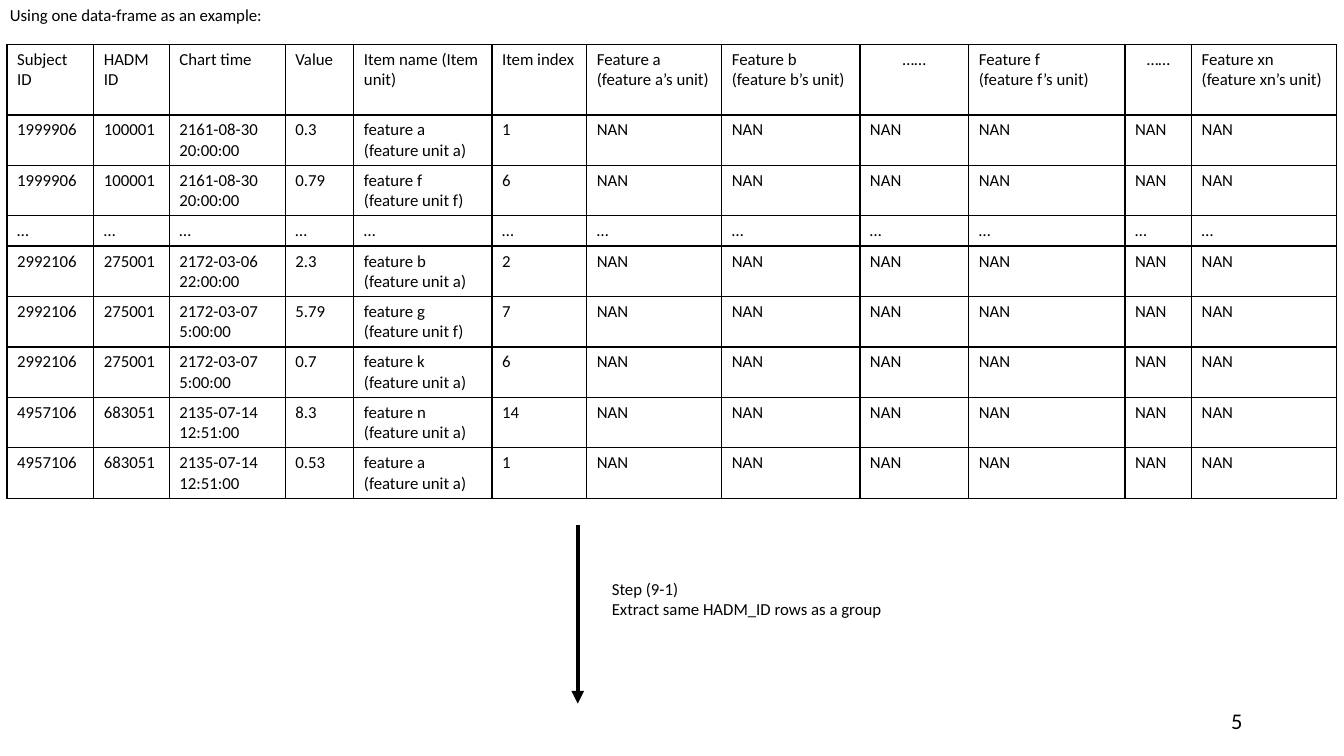
"""Build the slide that shows how rows of one data-frame are grouped by HADM ID."""
from dataclasses import dataclass

import pptx
import pptx.dml.color
import pptx.enum.shapes
import pptx.enum.text
import pptx.oxml
import pptx.oxml.ns
import pptx.util
from pptx.util import Inches

LEFT = pptx.enum.text.PP_ALIGN.LEFT
CENTER = pptx.enum.text.PP_ALIGN.CENTER
RIGHT = pptx.enum.text.PP_ALIGN.RIGHT
TOP = pptx.enum.text.MSO_ANCHOR.TOP
MIDDLE = pptx.enum.text.MSO_ANCHOR.MIDDLE


@dataclass(frozen=True)
class Theme:
    """Hold the colours, type sizes and line widths of the slide."""
    font: str = "Calibri"
    ink: str = "000000"
    body_size: int = 12
    number_size: int = 16
    border_width: int = 1
    arrow_width: int = 3


THEME = Theme()
COLUMN_WIDTHS = [0.86, 0.75, 1.15, 0.68, 1.37, 0.94, 1.34, 1.37, 1.08, 1.55, 0.66, 1.44]
HEADER_HEIGHT, RECORD_HEIGHT, GAP_HEIGHT = 0.7, 0.5, 0.3
GAP_MARK = "…"
HEADER_GAP = "……"
FEATURE_COUNT = 6
HEADERS = [
    "Subject ID", "HADM ID", "Chart time", "Value", "Item name (Item unit)", "Item index",
    "Feature a\n(feature a’s unit)", "Feature b\n(feature b’s unit)", HEADER_GAP,
    "Feature f\n(feature f’s unit)", HEADER_GAP, "Feature xn\n(feature xn’s unit)",
]
GAP_ROW = [GAP_MARK] * len(HEADERS)
EARLY_RECORDS = [
    ["1999906", "100001", "2161-08-30 20:00:00", "0.3", "feature a (feature unit a)", "1"],
    ["1999906", "100001", "2161-08-30 20:00:00", "0.79", "feature f\n(feature unit f)", "6"],
]
LATE_RECORDS = [
    ["2992106", "275001", "2172-03-06 22:00:00", "2.3", "feature b (feature unit a)", "2"],
    ["2992106", "275001", "2172-03-07 5:00:00", "5.79", "feature g (feature unit f)", "7"],
    ["2992106", "275001", "2172-03-07 5:00:00", "0.7", "feature k (feature unit a)", "6"],
    ["4957106", "683051", "2135-07-14 12:51:00", "8.3", "feature n (feature unit a)", "14"],
    ["4957106", "683051", "2135-07-14 12:51:00", "0.53", "feature a (feature unit a)", "1"],
]


def write_text(frame, text, size=THEME.body_size, align=LEFT, anchor=TOP):
    """Write each line of the text as a formatted paragraph."""
    frame.word_wrap = True
    frame.vertical_anchor = anchor
    for index, line in enumerate(text.split("\n")):
        paragraph = frame.paragraphs[0] if index == 0 else frame.add_paragraph()
        paragraph.alignment = align
        run = paragraph.add_run()
        run.text = line
        run.font.name = THEME.font
        run.font.size = pptx.util.Pt(size)
        run.font.color.rgb = pptx.dml.color.RGBColor.from_string(THEME.ink)


def add_label(slide, text, left, top, width, height, **text_format):
    """Add a text box that holds the text."""
    label = slide.shapes.add_textbox(Inches(left), Inches(top), Inches(width), Inches(height))
    write_text(label.text_frame, text, **text_format)


def add_borders(cell):
    """Draw a thin line along the four sides of a cell."""
    properties = cell._tc.get_or_add_tcPr()
    width = pptx.util.Pt(THEME.border_width)
    for index, side in enumerate(("lnL", "lnR", "lnT", "lnB")):
        border = pptx.oxml.parse_xml(
            f'<a:{side} {pptx.oxml.ns.nsdecls("a")} w="{width}"><a:solidFill>'
            f'<a:srgbClr val="{THEME.ink}"/></a:solidFill></a:{side}>')
        properties.insert(index, border)


def add_data_table(slide, rows, left, top):
    """Add the bordered data-frame table, one cell for each value."""
    heights = [HEADER_HEIGHT] + [
        GAP_HEIGHT if row is GAP_ROW else RECORD_HEIGHT for row in rows[1:]]
    frame = slide.shapes.add_table(
        len(rows), len(COLUMN_WIDTHS), Inches(left), Inches(top),
        Inches(sum(COLUMN_WIDTHS)), Inches(sum(heights)))
    table = frame.table
    table.first_row = False
    table.horz_banding = False
    for column, width in zip(table.columns, COLUMN_WIDTHS):
        column.width = Inches(width)
    for table_row, height, values in zip(table.rows, heights, rows):
        table_row.height = Inches(height)
        for cell, value in zip(table_row.cells, values):
            write_text(cell.text_frame, value, align=CENTER if value == HEADER_GAP else LEFT)
            cell.fill.background()
            add_borders(cell)


def add_down_arrow(slide, x, top, bottom):
    """Add a vertical arrow that points down."""
    arrow = slide.shapes.add_connector(
        pptx.enum.shapes.MSO_CONNECTOR.STRAIGHT,
        Inches(x), Inches(top), Inches(x), Inches(bottom))
    arrow.line.width = pptx.util.Pt(THEME.arrow_width)
    arrow.line.color.rgb = pptx.dml.color.RGBColor.from_string(THEME.ink)
    namespace = pptx.oxml.ns.nsdecls("a")
    arrow.line._get_or_add_ln().append(
        pptx.oxml.parse_xml(f'<a:tailEnd {namespace} type="triangle"/>'))
    arrow._element.spPr.append(pptx.oxml.parse_xml(f"<a:effectLst {namespace}/>"))


def main():
    """Build the slide and save the presentation."""
    presentation = pptx.Presentation()
    presentation.slide_width = Inches(13.33)
    presentation.slide_height = Inches(7.5)
    slide = presentation.slides.add_slide(presentation.slide_layouts.get_by_name("Blank"))

    empty_features = ["NAN"] * FEATURE_COUNT
    rows = [HEADERS]
    rows += [record + empty_features for record in EARLY_RECORDS]
    rows.append(GAP_ROW)
    rows += [record + empty_features for record in LATE_RECORDS]

    add_label(slide, "Using one data-frame as an example:", 0, 0, 3.23, 0.3)
    add_data_table(slide, rows, 0.07, 0.44)
    add_label(slide, "Step (9-1)\nExtract same HADM_ID rows as a group", 5.97, 5.69, 2.97, 0.5)
    add_down_arrow(slide, 5.73, 5.21, 6.98)
    add_label(slide, "5", 9.42, 6.95, 3, 0.4,
              size=THEME.number_size, align=RIGHT, anchor=MIDDLE)
    presentation.save("out.pptx")


if __name__ == "__main__":
    main()
